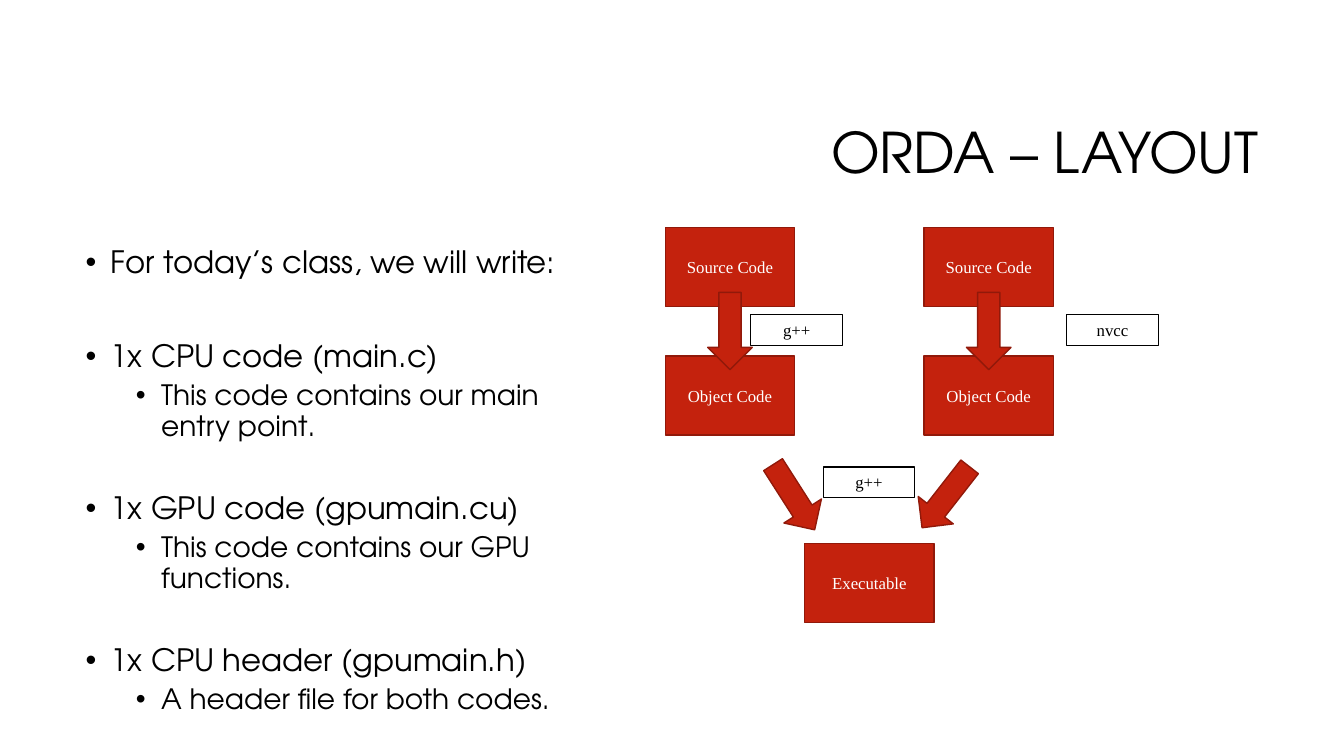
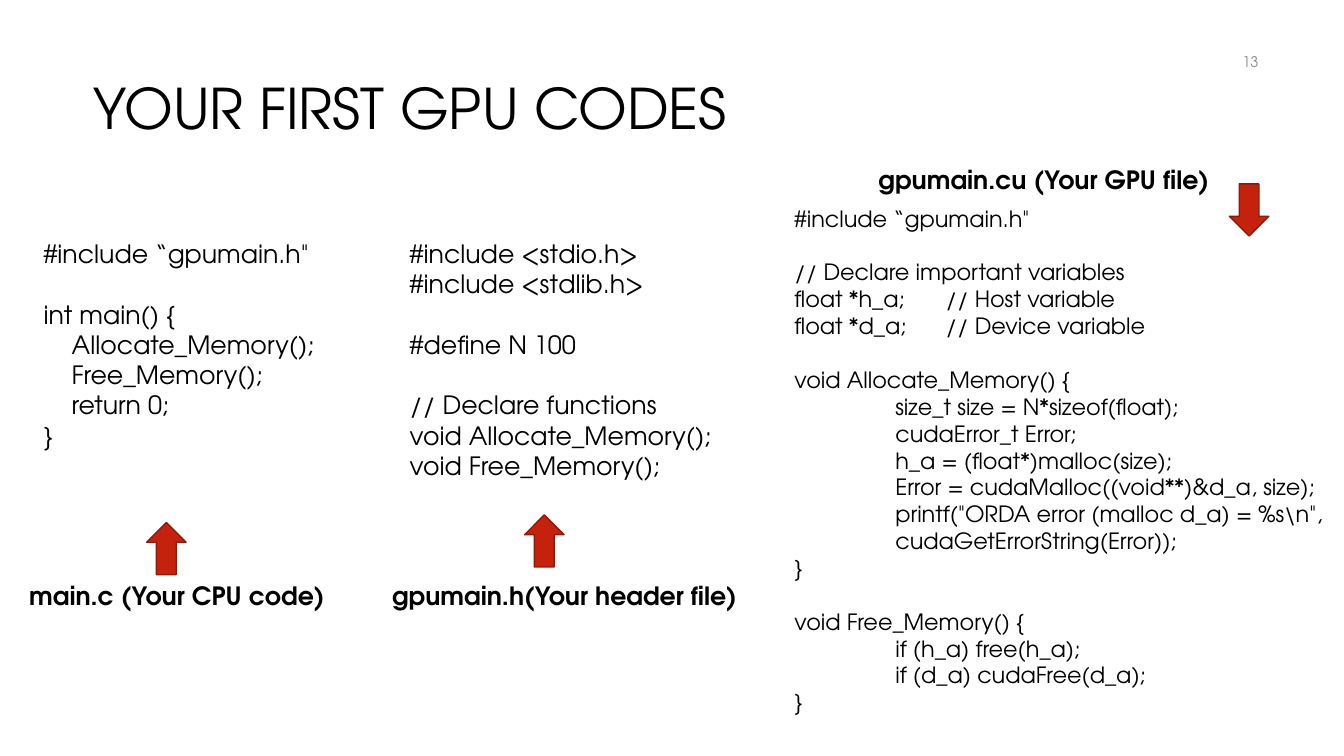
from dataclasses import dataclass

from lxml import etree
from pptx import Presentation
from pptx import util as u
from pptx.dml.color import RGBColor
from pptx.enum import shapes, text
from pptx.oxml.ns import qn

COLUMNS, ROWS = 80, 45


@dataclass(frozen=True)
class Theme:
    ink: str = "000000"
    paper: str = "FFFFFF"
    accent: str = "C4220D"
    accent_edge: str = "91190A"
    muted: str = "8C8C8C"
    font: str = "TeX Gyre Adventor"
    diagram_font: str = "Times New Roman"
    title_size: float = 40
    bullet_sizes: tuple = (22, 20)
    bullet_gaps: tuple = (10, 5)
    bullet_margins: tuple = (0.25, 0.75)
    bullet_spacing: float = 0.9
    caption_size: float = 18
    diagram_size: float = 12
    number_size: float = 10.5
    line_height: float = 1.2
    comment_tab: float = 2


class Deck:
    def __init__(self, theme):
        self.theme = theme
        self.presentation = Presentation()
        self.presentation.slide_width = u.Inches(13.33)
        self.presentation.slide_height = u.Inches(7.5)
        self.slide = None

    def new_slide(self):
        blank = self.presentation.slide_layouts[6]
        self.slide = self.presentation.slides.add_slide(blank)

    def place(self, column, row, columns, rows):
        """Turn a grid area into slide lengths."""
        across = self.presentation.slide_width / COLUMNS
        down = self.presentation.slide_height / ROWS
        return [round(length) for length in
                (column * across, row * down, columns * across, rows * down)]

    def set_font(self, paragraph, size, color=None, name=None, bold=False):
        font = paragraph.font
        font.size = u.Pt(size)
        font.name = name or self.theme.font
        font.bold = bold
        font.color.rgb = RGBColor.from_string(color or self.theme.ink)

    def text_frame(self, area, anchor=text.MSO_ANCHOR.TOP, wrap=True):
        frame = self.slide.shapes.add_textbox(*self.place(*area)).text_frame
        frame.word_wrap = wrap
        frame.vertical_anchor = anchor
        return frame

    def paragraphs(self, frame, lines):
        """Yield each line with its new paragraph."""
        for index, line in enumerate(lines):
            paragraph = frame.add_paragraph() if index else frame.paragraphs[0]
            yield line, paragraph

    def title(self, words, area):
        paragraph = self.text_frame(area, text.MSO_ANCHOR.MIDDLE).paragraphs[0]
        paragraph.text = words
        paragraph.alignment = text.PP_ALIGN.RIGHT
        paragraph.line_spacing = self.theme.bullet_spacing
        self.set_font(paragraph, self.theme.title_size)

    def slide_number(self, number, area):
        paragraph = self.text_frame(area, text.MSO_ANCHOR.MIDDLE).paragraphs[0]
        paragraph.text = number
        paragraph.alignment = text.PP_ALIGN.RIGHT
        self.set_font(paragraph, self.theme.number_size, self.theme.muted)

    def caption(self, words, area):
        paragraph = self.text_frame(area).paragraphs[0]
        paragraph.text = words
        self.set_font(paragraph, self.theme.caption_size, bold=True)

    def bullets(self, items, area):
        """Add (level, words, gap) items; gap is extra space before, in points."""
        theme = self.theme
        frame = self.text_frame(area)
        for (level, words, gap), paragraph in self.paragraphs(frame, items):
            paragraph.text = words
            paragraph.level = level
            paragraph.line_spacing = theme.bullet_spacing
            paragraph.space_before = u.Pt(theme.bullet_gaps[level] + gap)
            properties = paragraph._p.get_or_add_pPr()
            properties.set("marL", str(u.Inches(theme.bullet_margins[level])))
            properties.set("indent", str(u.Inches(-0.25)))
            etree.SubElement(properties, qn("a:buFont")).set("typeface", "Arial")
            etree.SubElement(properties, qn("a:buChar")).set("char", "•")
            self.set_font(paragraph, theme.bullet_sizes[level])

    def code(self, listing, area, size, indent):
        """Set a listing; leading tabs become margins, empty lines become space."""
        frame = self.text_frame(area, wrap=False)
        gap, lines = 0, []
        for line in listing.strip().splitlines():
            if line:
                lines.append((line, gap))
                gap = 0
            else:
                gap += size * self.theme.line_height
        for (line, space), paragraph in self.paragraphs(frame, lines):
            words = line.lstrip("\t")
            paragraph.text = words
            paragraph.space_before = u.Pt(space)
            depth = len(line) - len(words)
            properties = paragraph._p.get_or_add_pPr()
            properties.set("marL", str(u.Inches(indent * depth)))
            properties.set("indent", "0")
            if "\t" in words:
                tabs = etree.SubElement(properties, qn("a:tabLst"))
                tab = etree.SubElement(tabs, qn("a:tab"))
                tab.set("pos", str(u.Inches(self.theme.comment_tab)))
                tab.set("algn", "l")
            self.set_font(paragraph, size)

    def block(self, kind, area, fill, edge, width):
        shape = self.slide.shapes.add_shape(kind, *self.place(*area))
        shape.shadow.inherit = False
        shape.fill.solid()
        shape.fill.fore_color.rgb = RGBColor.from_string(fill)
        shape.line.color.rgb = RGBColor.from_string(edge)
        shape.line.width = u.Pt(width)
        return shape

    def boxed_text(self, words, area, fill, edge, width, color):
        shape = self.block(shapes.MSO_SHAPE.RECTANGLE, area, fill, edge, width)
        frame = shape.text_frame
        frame.vertical_anchor = text.MSO_ANCHOR.MIDDLE
        paragraph = frame.paragraphs[0]
        paragraph.text = words
        paragraph.alignment = text.PP_ALIGN.CENTER
        self.set_font(paragraph, self.theme.diagram_size, color,
                      self.theme.diagram_font)

    def node(self, words, column, row):
        theme = self.theme
        self.boxed_text(words, (column, row, 7.7, 4.7), theme.accent,
                        theme.accent_edge, 1, theme.paper)

    def tool_label(self, words, column, row):
        theme = self.theme
        self.boxed_text(words, (column, row, 5.45, 1.8), theme.paper,
                        theme.ink, 0.75, theme.ink)

    def arrow(self, center, size, rotation):
        (column, row), (length, height) = center, size
        area = (column - length / 2, row - height / 2, length, height)
        shape = self.block(shapes.MSO_SHAPE.RIGHT_ARROW, area,
                           self.theme.accent, self.theme.accent_edge, 1)
        shape.rotation = rotation


MAIN_CODE = """
#include “gpumain.h"

int main() {
\tAllocate_Memory();
\tFree_Memory();
\treturn 0;
}
"""

HEADER_CODE = """
#include <stdio.h>
#include <stdlib.h>

#define N 100

// Declare functions
void Allocate_Memory();
void Free_Memory();
"""

GPU_CODE = """
#include “gpumain.h"

// Declare important variables
float *h_a;\t// Host variable
float *d_a;\t// Device variable

void Allocate_Memory() {
\tsize_t size = N*sizeof(float);
\tcudaError_t Error;
\th_a = (float*)malloc(size);
\tError = cudaMalloc((void**)&d_a, size);
\tprintf("ORDA error (malloc d_a) = %s\\n",
\tcudaGetErrorString(Error));
}

void Free_Memory() {
\tif (h_a) free(h_a);
\tif (d_a) cudaFree(d_a);
}
"""


def layout_slide(deck):
    deck.new_slide()
    deck.title("ORDA – LAYOUT", (19, 5.05, 56.5, 8.45))
    deck.bullets([
        (0, "For today’s class, we will write:", 0),
        (0, "1x CPU code (main.c)", 33.8),
        (1, "This code contains our main entry point.", 0),
        (0, "1x GPU code (gpumain.cu)", 26.6),
        (1, "This code contains our GPU functions.", 0),
        (0, "1x CPU header (gpumain.h)", 26.6),
        (1, "A header file for both codes.", 0),
    ], (4.5, 14.4, 32.3, 29.4))

    arrow_size = (4.6, 2.65)
    for lane, tool, tool_column in ((39.6, "g++", 44.7), (55, "nvcc", 63.5)):
        deck.node("Source Code", lane, 13.55)
        deck.node("Object Code", lane, 21.2)
        deck.tool_label(tool, tool_column, 18.75)
        deck.arrow((lane + 3.85, 19.7), arrow_size, 90)
    deck.node("Executable", 47.9, 32.35)
    for column, rotation in ((47.25, 57.4), (56.3, 128)):
        deck.arrow((column, 29.6), arrow_size, rotation)
    deck.tool_label("g++", 49, 27.8)


def code_slide(deck):
    deck.new_slide()
    deck.title("YOUR FIRST GPU CODES", (0, 2.4, 43.85, 8.45))
    deck.slide_number("13", (57.5, 2.5, 18, 2.4))

    deck.code(MAIN_CODE, (2, 13.9, 20.1, 13.3), 18, 0.28)
    deck.code(HEADER_CODE, (23.8, 13.9, 19.55, 15.1), 18, 0.28)
    deck.code(GPU_CODE, (46.7, 11.9, 33, 32.3), 16, 1)

    for words, column, row, arrow_center, rotation in (
        ("main.c (Your CPU code)", 1.15, 34.25, (9.9, 32.65), 270),
        ("gpumain.h(Your header file)", 22.75, 34.25, (32.4, 32.2), 270),
        ("gpumain.cu (Your GPU file)", 51.7, 9.5, (74.35, 12.5), 90),
    ):
        deck.caption(words, (column, row, 23.75, 2.4))
        deck.arrow(arrow_center, (3.1, 2.35), rotation)


def main():
    deck = Deck(Theme())
    layout_slide(deck)
    code_slide(deck)
    deck.presentation.save("out.pptx")


if __name__ == "__main__":
    main()
